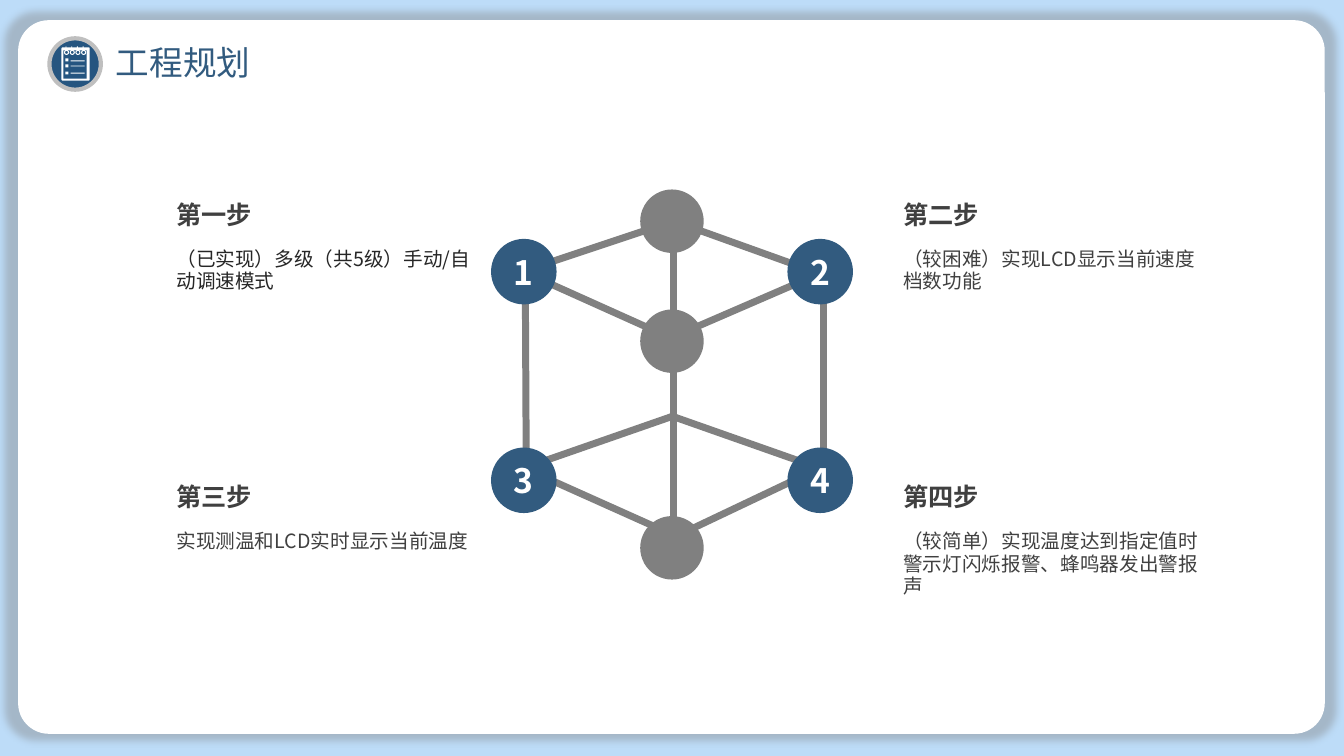
from pptx import Presentation
from pptx.dml.color import RGBColor
from pptx.enum.shapes import MSO_CONNECTOR, MSO_SHAPE
from pptx.enum.text import MSO_ANCHOR, MSO_AUTO_SIZE, PP_ALIGN
from pptx.oxml import parse_xml
from pptx.oxml.ns import nsdecls
from pptx.util import Inches, Pt

COLORS = {
    "sky": "BDDCF8", "white": "FFFFFF", "navy": "325B7F", "badge": "255580",
    "ring": "BFBFBF", "gray": "808080", "dark": "404040", "darkest": "262626",
}
BODY_FONT, TITLE_FONT = "Noto Sans CJK SC", "Noto Sans CJK JP"


def add_figure(kind, left, top, width, height, fill, line=None, weight=1):
    """Add a flat preset shape, with an outline only if a line colour is given."""
    figure = slide.shapes.add_shape(
        kind, Inches(left), Inches(top), Inches(width), Inches(height))
    figure.shadow.inherit = False
    figure.fill.solid()
    figure.fill.fore_color.rgb = RGBColor.from_string(COLORS[fill])
    if line:
        figure.line.color.rgb = RGBColor.from_string(COLORS[line])
        figure.line.width = Pt(weight)
    else:
        figure.line.fill.background()
    return figure


def write(frame, text, size, color, bold=False, font=BODY_FONT, margins=(0, 0),
          **paragraph_format):
    """Fill a text frame with one run in a Latin and East Asian typeface."""
    side, edge = (Inches(margin) for margin in margins)
    frame_format = {"word_wrap": True, "margin_left": side, "margin_right": side,
                    "margin_top": edge, "margin_bottom": edge}
    for key, value in frame_format.items():
        setattr(frame, key, value)
    paragraph = frame.paragraphs[0]
    for key, value in paragraph_format.items():
        setattr(paragraph, key, value)
    run = paragraph.add_run()
    run.text = text
    for key, value in {"size": Pt(size), "bold": bold, "name": font}.items():
        setattr(run.font, key, value)
    run.font.color.rgb = RGBColor.from_string(COLORS[color])
    properties = run._r.get_or_add_rPr()
    properties.set("lang", "zh-CN")
    properties.append(parse_xml(f'<a:ea {nsdecls("a")} typeface="{font}"/>'))


prs = Presentation()
prs.slide_width, prs.slide_height = Inches(13.33), Inches(7.5)
slide = prs.slides.add_slide(prs.slide_layouts[5])
slide.background.fill.solid()
slide.background.fill.fore_color.rgb = RGBColor.from_string(COLORS["sky"])

# White card with a soft halo, behind the title
card = add_figure(MSO_SHAPE.ROUNDED_RECTANGLE, 0.18, 0.2, 12.96, 7.08, "white")
card.adjustments[0] = 0.043
card_properties = card._element.spPr
card_properties.remove(card_properties.find("{*}effectLst"))
card_properties.append(parse_xml(
    f'<a:effectLst {nsdecls("a")}><a:outerShdw blurRad="{Pt(5)}" dist="0" dir="0" '
    'sx="102000" sy="102000" algn="ctr" rotWithShape="0">'
    f'<a:srgbClr val="{COLORS["gray"]}"><a:alpha val="40000"/></a:srgbClr>'
    '</a:outerShdw></a:effectLst>'))
slide.shapes._spTree.insert(2, card._element)

title = slide.shapes.title
title_box = {"left": 1.02, "top": 0.35, "width": 4.45, "height": 0.54}
for side_name, length in title_box.items():
    setattr(title, side_name, Inches(length))
title.text_frame.auto_size = MSO_AUTO_SIZE.NONE
title.text_frame.vertical_anchor = MSO_ANCHOR.MIDDLE
write(title.text_frame, "工程规划", 24, "navy", font=TITLE_FONT,
      margins=(0.13, 0.07), alignment=PP_ALIGN.LEFT)

# Notepad badge
add_figure(MSO_SHAPE.OVAL, 0.49, 0.38, 0.51, 0.51, "badge", "ring", 3)
pad = add_figure(MSO_SHAPE.ROUNDED_RECTANGLE, 0.61, 0.47, 0.28, 0.33, "white")
pad.adjustments[0] = 0.04
add_figure(MSO_SHAPE.RECTANGLE, 0.63, 0.5, 0.23, 0.28, "badge")
for binder in range(4):
    center = 0.66 + binder * 0.17 / 3
    add_figure(MSO_SHAPE.OVAL, center - 0.02, 0.5, 0.04, 0.04, "badge", "white", 0.75)
    add_figure(MSO_SHAPE.RECTANGLE, center - 0.01, 0.46, 0.01, 0.04, "white")
for entry_top, rule_top in [(0.58, 0.6), (0.64, 0.65), (0.71, 0.72)]:
    add_figure(MSO_SHAPE.RECTANGLE, 0.65, entry_top, 0.03, 0.03, "white")
    add_figure(MSO_SHAPE.RECTANGLE, 0.7, rule_top, 0.14, 0.01, "white")

# Edges of the cube
EDGES = [
    (6.66, 2.2, 5.16, 2.7), (7.99, 4.71, 6.79, 5.28), (6.67, 4.13, 5.32, 4.6),
    (8, 2.77, 6.66, 3.35), (6.55, 5.25, 5.39, 4.73), (8.06, 4.62, 6.64, 4.12),
    (8.12, 2.71, 6.7, 2.2), (6.58, 3.32, 5.29, 2.74), (5.21, 2.77, 5.22, 4.69),
    (8.17, 2.77, 8.17, 4.69), (6.68, 2.34, 6.68, 5.3),
]
for ends in EDGES:
    edge = slide.shapes.add_connector(
        MSO_CONNECTOR.STRAIGHT, *(Inches(end) for end in ends))
    edge.line.color.rgb = RGBColor.from_string(COLORS["gray"])
    edge.line.width = Pt(5)
    edge._element.spPr.append(parse_xml(f'<a:effectLst {nsdecls("a")}/>'))

for node_top in (1.88, 3.07, 5.12):
    add_figure(MSO_SHAPE.OVAL, 6.35, node_top, 0.63, 0.63, "gray")

# Numbered nodes and their steps, on a grid of two columns and two rows
NODE_LEFTS, NODE_TOPS = (4.87, 7.81), (2.37, 4.44)
STEP_LEFTS, STEP_TOPS = (1.75, 8.96), (2.01, 4.81)
STEPS = [
    ("第一步", "（已实现）多级（共5级）手动/自动调速模式", 2, "darkest"),
    ("第二步", "（较困难）实现LCD显示当前速度档数功能", 2, "dark"),
    ("第三步", "实现测温和LCD实时显示当前温度", 1, "dark"),
    ("第四步", "（较简单）实现温度达到指定值时警示灯闪烁报警、蜂鸣器发出警报声", 3, "dark"),
]
for index, (heading, detail, line_count, detail_color) in enumerate(STEPS):
    row, column = divmod(index, 2)
    node = add_figure(MSO_SHAPE.OVAL, NODE_LEFTS[column], NODE_TOPS[row],
                      0.65, 0.65, "navy")
    node.text_frame.vertical_anchor = MSO_ANCHOR.MIDDLE
    write(node.text_frame, str(index + 1), 24, "white", bold=True,
          margins=(0.1, 0.05), alignment=PP_ALIGN.CENTER)

    left, top = STEP_LEFTS[column], STEP_TOPS[row]
    for text, offset, width, height, size, color, bold, spacing in [
        (heading, 0, 1.58, 0.27, 18, "dark", True, 19.2),
        (detail, 0.45, 3.07, line_count * 16 / 72, 14, detail_color, False, 16),
    ]:
        box = slide.shapes.add_textbox(
            Inches(left), Inches(top + offset), Inches(width), Inches(height))
        box.text_frame.auto_size = MSO_AUTO_SIZE.SHAPE_TO_FIT_TEXT
        write(box.text_frame, text, size, color, bold=bold, line_spacing=Pt(spacing))

prs.save("out.pptx")
